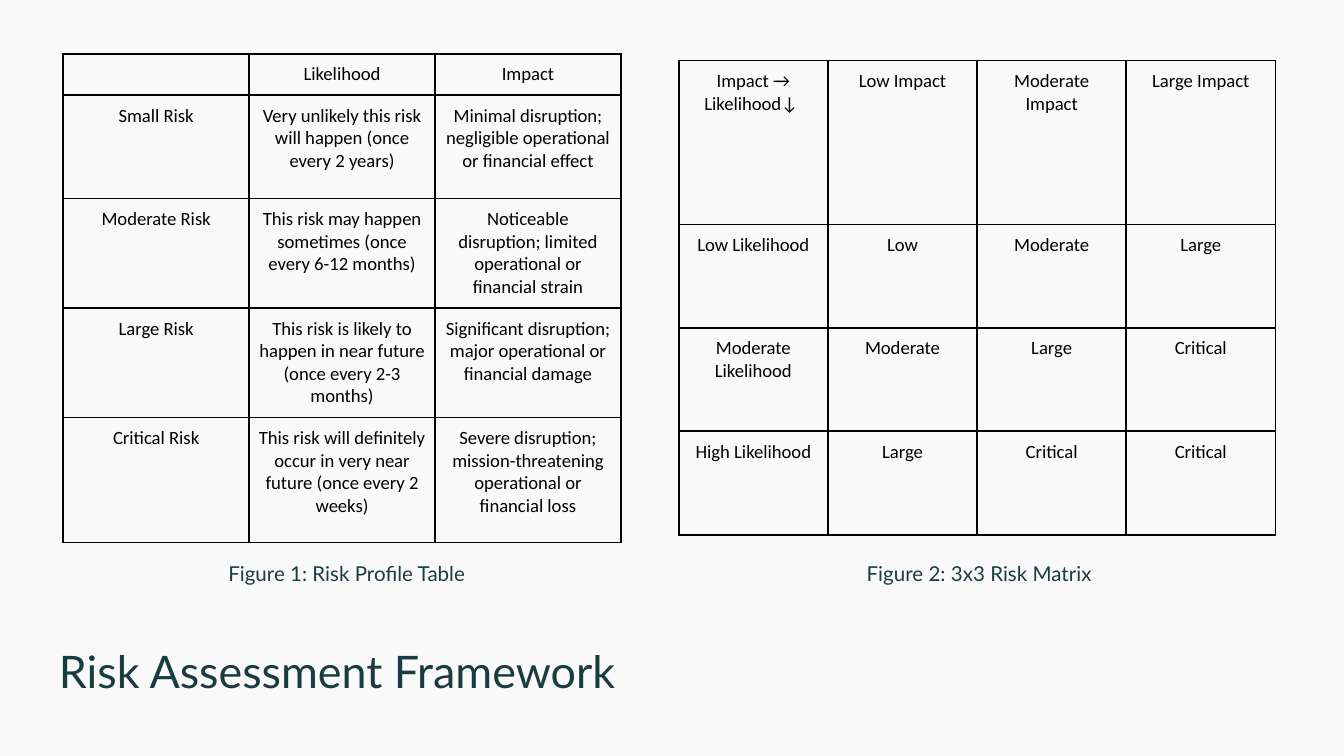
import lxml.etree
import pptx
import pptx.dml.color
import pptx.enum.text
import pptx.oxml.ns
import pptx.util

PAPER = pptx.dml.color.RGBColor(0xF9, 0xF9, 0xF9)
TEAL = pptx.dml.color.RGBColor(0x18, 0x3C, 0x40)
BLACK = pptx.dml.color.RGBColor(0, 0, 0)
ALIGN = pptx.enum.text.PP_ALIGN
ANCHOR = pptx.enum.text.MSO_ANCHOR
SIZE = pptx.enum.text.MSO_AUTO_SIZE

WIDTH = pptx.util.Inches(10)
HEIGHT = WIDTH * 9 // 16
COLUMNS, ROWS = 100, 56.25

PROFILE = [
    ["", "Likelihood", "Impact"],
    ["Small Risk", "Very unlikely this risk will happen (once every 2 years)",
     "Minimal disruption; negligible operational or financial effect"],
    ["Moderate Risk", "This risk may happen sometimes (once every 6-12 months)",
     "Noticeable disruption; limited operational or financial strain"],
    ["Large Risk", "This risk is likely to happen in near future (once every 2-3 months)",
     "Significant disruption; major operational or financial damage"],
    ["Critical Risk", "This risk will definitely occur in very near future (once every 2 weeks)",
     "Severe disruption; mission-threatening operational or financial loss"],
]
MATRIX = [
    ["Impact →\nLikelihood↓ ", "Low Impact", "Moderate Impact", "Large Impact"],
    ["Low Likelihood", "Low", "Moderate", "Large"],
    ["Moderate Likelihood", "Moderate", "Large", "Critical"],
    ["High Likelihood", "Large", "Critical", "Critical"],
]


def write(tf, text, font="Lato", size=11, color=TEAL, align=ALIGN.LEFT, spacing=None):
    for i, line in enumerate(text.split("\n")):
        p = tf.paragraphs[0] if i == 0 else tf.add_paragraph()
        p.alignment, p.line_spacing = align, spacing
        if not line:
            end = lxml.etree.SubElement(p._p, pptx.oxml.ns.qn("a:endParaRPr"))
            end.set("sz", str(size * 100))
            continue
        r = p.add_run()
        r.text = line
        r.font.name, r.font.size = font, pptx.util.Pt(size)
        r.font.color.rgb = color


class Deck:
    """Holds the style and current slide, and places elements on its grid."""

    def __init__(self, prs):
        self.s = prs.slides.add_slide(prs.slide_layouts[6])
        self.s.background.fill.solid()
        self.s.background.fill.fore_color.rgb = PAPER
        self.cell_margin = pptx.util.Inches(0.07)
        self.text_margin = pptx.util.Inches(0.1)
        self.border = pptx.util.Pt(1)

    def x(self, columns):
        return round(WIDTH * columns / COLUMNS)

    def y(self, rows):
        return round(HEIGHT * rows / ROWS)

    def pad(self, frame, margin):
        frame.margin_left = frame.margin_right = margin
        frame.margin_top = frame.margin_bottom = margin

    def text(self, text, left, top, width, height, anchor=ANCHOR.TOP,
             auto_size=SIZE.NONE, **style):
        sp = self.s.shapes.add_textbox(self.x(left), self.y(top), self.x(width), self.y(height))
        tf = sp.text_frame
        tf.word_wrap, tf.vertical_anchor, tf.auto_size = True, anchor, auto_size
        self.pad(tf, self.text_margin)
        write(tf, text, **style)

    def outline(self, cell):
        props = cell._tc.get_or_add_tcPr()
        for side in ("lnL", "lnR", "lnT", "lnB"):
            line = lxml.etree.SubElement(props, pptx.oxml.ns.qn("a:" + side), w=str(self.border))
            fill = lxml.etree.SubElement(line, pptx.oxml.ns.qn("a:solidFill"))
            lxml.etree.SubElement(fill, pptx.oxml.ns.qn("a:srgbClr"), val=str(BLACK))

    def table(self, data, left, top, width, heights):
        columns = len(data[0])
        frame = self.s.shapes.add_table(len(data), columns, self.x(left), self.y(top),
                                        self.x(width), self.y(sum(heights)))
        table = frame.table
        table.first_row = table.horz_banding = False
        for column in table.columns:
            column.width = self.x(width / columns)
        for row, height, texts in zip(table.rows, heights, data):
            row.height = self.y(height)
            for cell, text in zip(row.cells, texts):
                self.pad(cell, self.cell_margin)
                self.outline(cell)
                cell.fill.background()
                write(cell.text_frame, text, font="Calibri", size=10,
                      color=BLACK, align=ALIGN.CENTER)


def main():
    prs = pptx.Presentation()
    prs.slide_width, prs.slide_height = WIDTH, HEIGHT
    deck = Deck(prs)
    deck.text("Risk Assessment Framework", 3.4, 46.3, 65.6, 6.6,
              anchor=ANCHOR.MIDDLE, size=24, spacing=1.15)
    deck.table(PROFILE, 4.7, 4, 41.5, [2.9, 7.7, 7.7, 7.7, 9.3])
    deck.table(MATRIX, 50.5, 4.5, 44.4, [12.2, 7.7, 7.7, 7.7])
    captions = ["Figure 1: Risk Profile Table", "Figure 2: 3x3 Risk Matrix"]
    for caption, left in zip(captions, (16, 63.5)):
        deck.text(caption, left, 40.8, 21.2, 3.9, auto_size=SIZE.SHAPE_TO_FIT_TEXT)
    prs.save("out.pptx")


if __name__ == "__main__":
    main()
